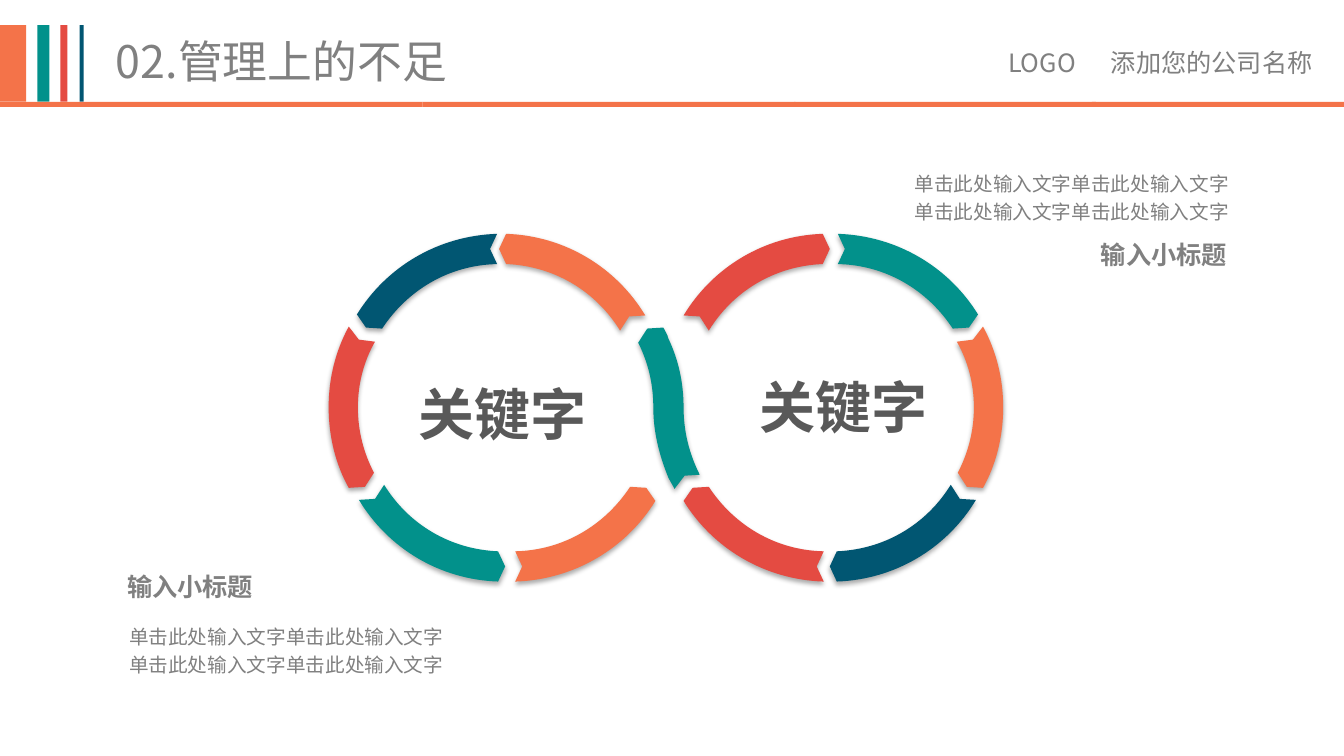
from dataclasses import dataclass

from lxml.etree import SubElement
from pptx import Presentation
from pptx.dml.color import RGBColor
from pptx.enum.shapes import MSO_SHAPE
from pptx.enum.text import MSO_ANCHOR, MSO_AUTO_SIZE, PP_ALIGN
from pptx.oxml.ns import qn
from pptx.slide import Slide
from pptx.util import Inches, Pt

FONT = "Noto Sans CJK SC"
COLORS = {
    "orange": "F47349", "teal": "02918B", "red": "E44B42", "navy": "015672",
    "gray": "808080", "dark": "595959", "shadow": "000000",
}
# Height of the ring centre for upright (1) and flipped (-1) parts
RING_Y = {1: 4.04, -1: 4.05}

Point = tuple[float, float]
# An outline starts at a point; each later step is a line end or a cubic curve
Outline = list[tuple[Point, ...]]

# Ring parts, measured from the centre of their ring
SHOULDER: Outline = [
    ((0.04, -1.42),),
    ((0.52, -1.40), (0.93, -1.15), (1.17, -0.76)),
    ((1.26, -0.90),), ((1.42, -0.91),),
    ((1.13, -1.39), (0.62, -1.70), (0.04, -1.72)),
    ((-0.03, -1.57),),
]
CORNER: Outline = [
    ((-1.19, -0.78),),
    ((-0.94, -1.16), (-0.53, -1.41), (-0.05, -1.42)),
    ((-0.12, -1.57),), ((-0.05, -1.72),),
    ((-0.64, -1.70), (-1.15, -1.39), (-1.44, -0.92)),
    ((-1.35, -0.79),),
]
SIDE: Outline = [
    ((-1.27, 0.65),),
    ((-1.37, 0.46), (-1.43, 0.24), (-1.43, 0)),
    ((-1.43, -0.23), (-1.37, -0.46), (-1.26, -0.65)),
    ((-1.42, -0.67),), ((-1.52, -0.80),),
    ((-1.65, -0.56), (-1.72, -0.29), (-1.72, 0)),
    ((-1.72, 0.29), (-1.65, 0.57), (-1.52, 0.80)),
    ((-1.36, 0.79),),
]
CROSSING: Outline = [
    ((0.31, 0.67),),
    ((0.21, 0.47), (0.15, 0.25), (0.15, 0)),
    ((0.15, -0.24), (0.10, -0.47), (0, -0.68)),
    ((-0.01, -0.72), (-0.03, -0.75), (-0.05, -0.79)),
    ((-0.21, -0.78),), ((-0.30, -0.64),),
    ((-0.20, -0.44), (-0.15, -0.23), (-0.15, 0)),
    ((-0.15, 0.25), (-0.09, 0.48), (0, 0.70)),
    ((0.02, 0.74), (0.04, 0.77), (0.06, 0.81)),
    ((0.16, 0.68),),
]


@dataclass
class Bar:
    left: float
    top: float
    width: float
    height: float
    color: str


@dataclass
class Segment:
    outline: Outline
    center_x: float
    color: str
    flip_x: int = 1
    flip_y: int = 1


@dataclass
class Label:
    text: str
    left: float
    top: float
    width: float
    height: float
    size: float
    color: str = "gray"
    bold: bool = False
    align: PP_ALIGN = PP_ALIGN.LEFT
    spacing: float = 1.0
    inset: Point = (0.1, 0.05)
    middle: bool = False
    tab: float = 0


STRIPES = [
    Bar(0, 0.25, 0.26, 0.76, "orange"),
    Bar(0.37, 0.25, 0.12, 0.76, "teal"),
    Bar(0.60, 0.25, 0.07, 0.76, "red"),
    Bar(0.79, 0.25, 0.04, 0.76, "navy"),
]
RULE = [
    Bar(left, 1.01, width, 0.05, "orange")
    for left, width in [(0, 4.19), (4.19, 3.7), (7.88, 2.99), (10.83, 2.5)]
]
SEGMENTS = [
    Segment(SHOULDER, 4.98, "teal", -1, -1),
    Segment(CORNER, 4.98, "navy"),
    Segment(SHOULDER, 4.98, "orange"),
    Segment(SIDE, 4.98, "red"),
    Segment(CORNER, 5.06, "orange", -1, -1),
    Segment(SHOULDER, 8.20, "red", -1),
    Segment(CORNER, 8.26, "teal", -1),
    Segment(CORNER, 8.22, "red", 1, -1),
    Segment(SHOULDER, 8.26, "navy", 1, -1),
    Segment(SIDE, 8.23, "orange", -1),
    Segment(CROSSING, 6.63, "teal"),
]
WIDE = (0.13, 0.07)
BODY = "\n".join(["单击此处输入文字单击此处输入文字"] * 2)
HEADER_LABELS = [
    Label("02.管理上的不足", 1.05, 0.29, 5.12, 0.64, 32),
    Label("LOGO\t添加您的公司名称", 9.9, 0.42, 3.43, 0.4, 18, tab=1.02),
]
RING_LABELS = [
    Label("关键字", left, top, 2.88, 0.81, 40, "dark", True, PP_ALIGN.CENTER, inset=WIDE)
    for left, top in [(3.54, 3.69), (6.93, 3.63)]
]
NOTE_LABELS = [
    label
    for align, body_at, title_at in [
        (PP_ALIGN.LEFT, (1.15, 6.08), (1.26, 5.55)),
        (PP_ALIGN.RIGHT, (8.32, 1.59), (8.86, 2.26)),
    ]
    for label in (
        Label(BODY, *body_at, 4.0, 0.7, 14, align=align, spacing=1.2, inset=WIDE),
        Label("输入小标题", *title_at, 3.31, 0.47, 18, bold=True, align=align,
              spacing=1.2, inset=(0, 0), middle=True),
    )
]


def rgb(color: str) -> RGBColor:
    return RGBColor.from_string(COLORS[color])


def paint(shape, color: str) -> None:
    shape.fill.solid()
    shape.fill.fore_color.rgb = rgb(color)
    shape.line.fill.background()
    shape.shadow.inherit = False


def draw_bar(page: Slide, bar: Bar) -> None:
    shape = page.shapes.add_shape(
        MSO_SHAPE.RECTANGLE, *map(Inches, (bar.left, bar.top, bar.width, bar.height)))
    paint(shape, bar.color)


def draw_segment(page: Slide, segment: Segment) -> None:
    steps = [
        [(Inches(segment.center_x + segment.flip_x * x),
          Inches(RING_Y[segment.flip_y] + segment.flip_y * y)) for x, y in step]
        for step in segment.outline
    ]
    builder = page.shapes.build_freeform(*steps[0][0])
    builder.add_line_segments([step[-1] for step in steps[1:]], close=True)
    shape = builder.convert_to_shape()
    # Bend the sides that are cubic curves
    sides = list(shape.element.iter(qn("a:lnTo")))
    for side, step in zip(sides, steps[1:]):
        if len(step) == 3:
            side.tag = qn("a:cubicBezTo")
            side.remove(side[0])
            for x, y in step:
                SubElement(side, qn("a:pt"), x=str(x - shape.left), y=str(y - shape.top))
    paint(shape, segment.color)
    # Soft shadow falling straight down
    effects = shape.element.spPr.find(qn("a:effectLst"))
    shadow = SubElement(effects, qn("a:outerShdw"), blurRad=str(Pt(3.5)),
                        dist=str(Pt(2.2)), dir="5400000", algn="t", rotWithShape="0")
    tint = SubElement(shadow, qn("a:srgbClr"), val=COLORS["shadow"])
    SubElement(tint, qn("a:alpha"), val="32000")


def draw_label(page: Slide, label: Label) -> None:
    box = page.shapes.add_textbox(
        *map(Inches, (label.left, label.top, label.width, label.height)))
    frame = box.text_frame
    frame.word_wrap = True
    frame.auto_size = MSO_AUTO_SIZE.NONE if label.middle else MSO_AUTO_SIZE.SHAPE_TO_FIT_TEXT
    frame.vertical_anchor = MSO_ANCHOR.MIDDLE if label.middle else MSO_ANCHOR.TOP
    frame.margin_left = frame.margin_right = Inches(label.inset[0])
    frame.margin_top = frame.margin_bottom = Inches(label.inset[1])
    frame.text = label.text
    for para in frame.paragraphs:
        para.alignment = label.align
        para.line_spacing = label.spacing
        if label.tab:
            tabs = SubElement(para._p.get_or_add_pPr(), qn("a:tabLst"))
            SubElement(tabs, qn("a:tab"), pos=str(Inches(label.tab)), algn="l")
        for span in para.runs:
            span.font.size = Pt(label.size)
            span.font.bold = label.bold
            span.font.color.rgb = rgb(label.color)
            span.font.name = FONT
            SubElement(span._r.get_or_add_rPr(), qn("a:ea"), typeface=FONT)


def main() -> None:
    deck = Presentation()
    deck.slide_width, deck.slide_height = Inches(13.33), Inches(7.5)
    page = deck.slides.add_slide(deck.slide_layouts[6])
    # Header
    for bar in STRIPES + RULE:
        draw_bar(page, bar)
    # Figure-eight cycle
    for segment in SEGMENTS:
        draw_segment(page, segment)
    # Texts
    for label in HEADER_LABELS + RING_LABELS + NOTE_LABELS:
        draw_label(page, label)
    deck.save("out.pptx")


if __name__ == "__main__":
    main()
